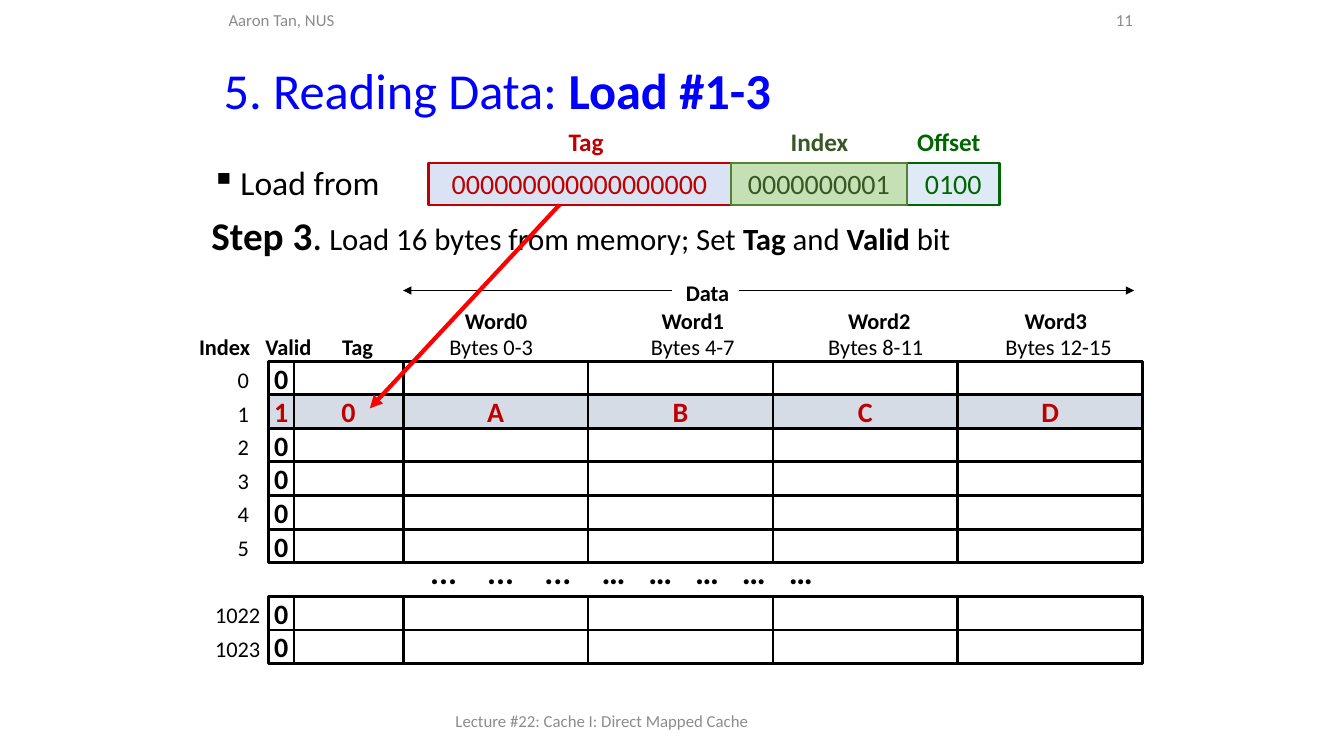
from lxml import etree
from pptx import Presentation
from pptx import util as u
from pptx.dml.color import RGBColor
from pptx.enum import shapes, text
from pptx.oxml import ns

BLACK = RGBColor(0, 0, 0)
GREY = RGBColor(0x8C, 0x8C, 0x8C)
BLUE = RGBColor(0, 0, 0xFF)
RED = RGBColor(0xFF, 0, 0)
CRIMSON = RGBColor(0xC0, 0, 0)
GREEN = RGBColor(0, 0x66, 0)
OLIVE = RGBColor(0x38, 0x57, 0x23)
LEAF = RGBColor(0x54, 0x82, 0x35)
TAG_FILL = RGBColor(0xDA, 0xE3, 0xF3)
INDEX_FILL = RGBColor(0xC5, 0xE0, 0xB4)
OFFSET_FILL = RGBColor(0xDE, 0xEB, 0xF7)
ROW_FILL = RGBColor(0xD6, 0xDC, 0xE5)

LEFT, CENTER, RIGHT = text.PP_ALIGN.LEFT, text.PP_ALIGN.CENTER, text.PP_ALIGN.RIGHT
TOP, MIDDLE = text.MSO_ANCHOR.TOP, text.MSO_ANCHOR.MIDDLE

ROW_HEIGHT = 2.54 / 3
GRID_TOP = 9.1
GRID_LEFT = 6.77
COLUMN_WIDTHS = [0.64, 2.75] + [4.66] * 4
CACHE_ROWS = {0: "0", 1: "1", 2: "2", 3: "3", 4: "4", 5: "5", 7: "1022", 8: "1023"}
LOADED_ROW = 1
LOADED_VALUES = ["1", "0", "A", "B", "C", "D"]
EMPTY_VALUES = ["0"] + [""] * 5


class SlideBuilder:
    """Holds the text style and the current slide and adds its elements."""

    font_name = "Calibri"

    def __init__(self, slide):
        self.slide = slide

    def place(self, shape, left, top, width, height):
        """Set the position and size of a shape in centimetres."""
        lengths = {"left": left, "top": top, "width": width, "height": height}
        for name, value in lengths.items():
            setattr(shape, name, u.Cm(value))

    def frame(self, shape, anchor=TOP, wrap=True):
        """Set anchoring and wrapping of a text frame."""
        formats = {"vertical_anchor": anchor, "word_wrap": wrap,
                   "auto_size": text.MSO_AUTO_SIZE.NONE}
        for name, value in formats.items():
            setattr(shape.text_frame, name, value)
        return shape.text_frame

    def add_runs(self, paragraph, runs, color=BLACK, align=LEFT, spacing=None):
        """Fill a paragraph with runs of wording, size and weight."""
        paragraph.alignment = align
        paragraph.line_spacing = spacing
        for wording, size, bold in runs:
            run = paragraph.add_run()
            run.text = wording
            run.font.color.rgb = color
            formats = {"name": self.font_name, "size": u.Pt(size), "bold": bold}
            for name, value in formats.items():
                setattr(run.font, name, value)

    def title(self, box, runs, color):
        """Move and fill the title placeholder."""
        shape = self.slide.shapes.title
        self.place(shape, *box)
        frame = self.frame(shape, MIDDLE)
        self.add_runs(frame.paragraphs[0], runs, color, spacing=0.9)

    def label(self, box, wording, size, bold=False, color=BLACK, align=CENTER,
              anchor=TOP, wrap=False):
        """Add a one-paragraph text box."""
        shape = self.slide.shapes.add_textbox(*map(u.Cm, box))
        paragraph = self.frame(shape, anchor, wrap).paragraphs[0]
        self.add_runs(paragraph, [(wording, size, bold)], color, align)
        return paragraph

    def steps(self, box, first, second):
        """Add the bulleted line and the step line below it."""
        shape = self.slide.shapes.add_textbox(*map(u.Cm, box))
        frame = self.frame(shape)
        bulleted = frame.paragraphs[0]
        properties = bulleted._p.get_or_add_pPr()
        properties.set("marL", str(u.Cm(0.73)))
        properties.set("indent", str(u.Cm(-0.73)))
        etree.SubElement(properties, ns.qn("a:buChar"), char="▪")
        self.add_runs(bulleted, first, spacing=0.9)
        step = frame.add_paragraph()
        self.add_runs(step, second, spacing=0.9)
        step.space_before = u.Pt(10)

    def tabs(self, paragraph, positions):
        """Give a paragraph left tab stops in centimetres."""
        properties = paragraph._p.get_or_add_pPr()
        stops = etree.SubElement(properties, ns.qn("a:tabLst"))
        for position in positions:
            etree.SubElement(stops, ns.qn("a:tab"), pos=str(u.Cm(position)), algn="l")

    def cell(self, box, wording, color, fill, outline, weight, bold, wrap):
        """Add a bordered rectangle with centred text."""
        shape = self.slide.shapes.add_shape(
            shapes.MSO_SHAPE.RECTANGLE, *map(u.Cm, box))
        shape.shadow.inherit = False
        if fill is None:
            shape.fill.background()
        else:
            shape.fill.solid()
            shape.fill.fore_color.rgb = fill
        shape.line.color.rgb = outline
        shape.line.width = u.Pt(weight)
        if wording:
            paragraph = self.frame(shape, MIDDLE, wrap).paragraphs[0]
            self.add_runs(paragraph, [(wording, 20, bold)], color, CENTER)

    def arrow(self, start, end, color, weight):
        """Add a straight line with an arrowhead at its end."""
        connector = self.slide.shapes.add_connector(
            shapes.MSO_CONNECTOR.STRAIGHT, *map(u.Cm, start + end))
        connector.line.color.rgb = color
        connector.line.width = u.Pt(weight)
        etree.SubElement(connector.line._get_or_add_ln(), ns.qn("a:tailEnd"),
                         type="triangle")
        etree.SubElement(connector._element.spPr, ns.qn("a:effectLst"))


def add_address(builder):
    """Draw the three fields of the address with their names."""
    fields = [
        ("Tag", "000000000000000000", 10.8, 7.62, CRIMSON, TAG_FILL, CRIMSON),
        ("Offset", "0100", 22.86, 2.33, GREEN, OFFSET_FILL, GREEN),
        ("Index", "0000000001", 18.42, 4.44, OLIVE, INDEX_FILL, LEAF),
    ]
    name_centers = {"Tag": 14.77, "Offset": 23.91, "Index": 20.65}
    for name, bits, left, width, color, fill, outline in fields:
        builder.cell((left, 4.1, width, 1.06), bits, color, fill, outline, 1.5, False, True)
        builder.label((name_centers[name] - 1.5, 3.05, 3, 1.02), name, 18, True, color)


def add_cache(builder):
    """Draw the cache rows with their index labels."""
    for row, index in CACHE_ROWS.items():
        top = GRID_TOP + row * ROW_HEIGHT
        loaded = row == LOADED_ROW
        left = GRID_LEFT
        for value, width in zip(LOADED_VALUES if loaded else EMPTY_VALUES, COLUMN_WIDTHS):
            builder.cell((left, top, width, ROW_HEIGHT), value,
                         CRIMSON if loaded else BLACK, ROW_FILL if loaded else None,
                         BLACK, 2, True, False)
            left += width
        center = 6.13 if len(index) == 1 else 5.99
        builder.label((center - 0.84, top, 1.68, 0.94), index, 16)


def add_headings(builder):
    """Draw the column headings and the span of the data columns."""
    headings = [
        ("Index", 5.66, 8.26, True), ("Valid", 7.27, 8.26, True),
        ("Tag", 9.01, 8.26, True), ("Data", 17.83, 6.91, True),
    ]
    words = [("0-3", 12.5, 12.38), ("4-7", 17.46, 17.46),
             ("8-11", 22.16, 22.07), ("12-15", 26.61, 26.68)]
    for number, (span, word_center, bytes_center) in enumerate(words):
        headings.append((f"Word{number}", word_center, 7.62, True))
        headings.append((f"Bytes {span}", bytes_center, 8.26, False))
    for wording, center, top, bold in headings:
        builder.label((center - 1.6, top, 3.2, 0.94), wording, 16, bold)
    builder.arrow((16.93, 7.32), (10.16, 7.32), BLACK, 0.75)
    builder.arrow((18.63, 7.32), (28.58, 7.32), BLACK, 0.75)


def main():
    """Build the slide and save it."""
    presentation = Presentation()
    presentation.slide_width = u.Cm(33.87)
    presentation.slide_height = u.Cm(19.05)
    builder = SlideBuilder(presentation.slides.add_slide(presentation.slide_layouts[5]))

    builder.title((5.38, 1.45, 23.39, 1.78),
                  [("5. Reading Data: ", 36, False), ("Load #1-3", 36, True)], BLUE)
    margin_texts = [
        ((11.23, 17.65, 11.43, 1.02), "Lecture #22: Cache I: Direct Mapped Cache", LEFT),
        ((26.39, 0.05, 2.41, 0.91), "11", RIGHT),
        ((5.51, 0.05, 8.05, 0.91), "Aaron Tan, NUS", LEFT),
    ]
    for box, wording, align in margin_texts:
        builder.label(box, wording, 12, False, GREY, align, MIDDLE, True)

    builder.steps((5.08, 4.06, 22.86, 2.67), [("Load from", 24, False)], [
        ("Step 3", 28, True), (".", 28, False),
        (" Load 16 bytes from memory; Set ", 22, False), ("Tag", 22, True),
        (" and ", 22, False), ("Valid", 22, True), (" bit", 22, False)])
    add_address(builder)
    add_cache(builder)
    dots = builder.label((10.59, 13.77, 13.97, 2.06),
                         "\t".join(["..."] * 3 + ["…"] * 5), 24, True, align=LEFT, wrap=True)
    builder.tabs(dots, [1.44 * stop for stop in (1, 2, 3)]
                 + [4.32 + 1.18 * stop for stop in (1, 2, 3, 4)])
    add_headings(builder)
    builder.arrow((14.1, 5.16), (9.32, 10.29), RED, 3)
    presentation.save("out.pptx")


if __name__ == "__main__":
    main()
